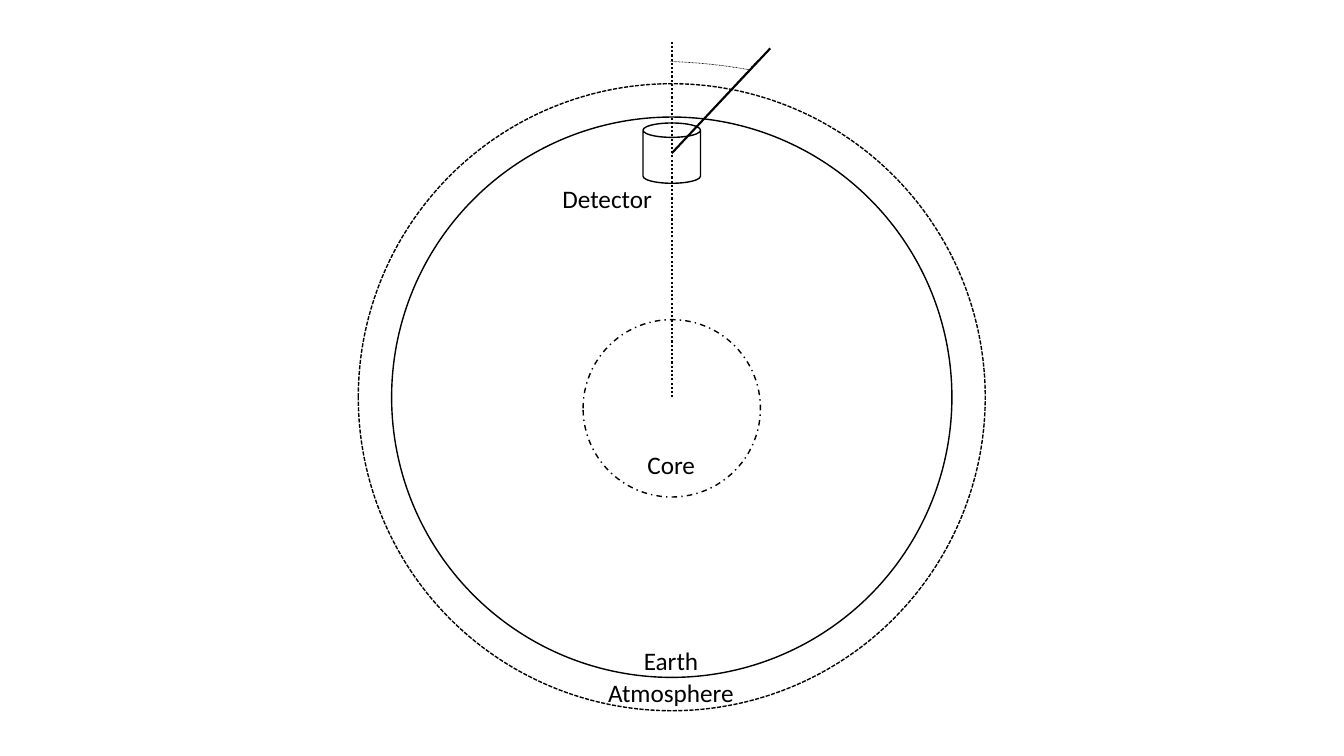
import pptx
import pptx.util
import pptx.dml.color
import pptx.enum.dml
import pptx.enum.shapes
import pptx.enum.text
import pptx.oxml

Cm, Pt = pptx.util.Cm, pptx.util.Pt
KIND = pptx.enum.shapes.MSO_SHAPE
DASH = pptx.enum.dml.MSO_LINE
BLACK = pptx.dml.color.RGBColor(0, 0, 0)
WIDE, HIGH = 33.87, 19.05
MID = 16.93      # axis through the Earth
HUB = 10.01      # centre of the Earth
HIT = 3.86       # centre of the detector

# Shapes: kind, centre x, centre y, width, height, weight, dash
SHAPES = [
    (KIND.OVAL, MID, HUB, 15.8, 15.8, 1, DASH.SQUARE_DOT),       # atmosphere
    (KIND.OVAL, MID, HUB, 14.12, 14.12, 1, None),                # Earth
    (KIND.OVAL, MID, 10.29, 4.47, 4.47, 1, DASH.DASH_DOT),       # core
    (KIND.CAN, MID, HIT, 1.45, 1.52, 1, None),                   # detector
]
# Zenith angle: the arc between the axis and the track
ANGLE = (KIND.ARC, 16.45, 3.78, 11.35, 4.47, 0.5, DASH.ROUND_DOT)
SWEEP = (168.91, 192.6)

# Lines: start x, start y, end x, end y, weight, dash
AXIS = (MID, HUB, MID, 1.04, 1.5, DASH.ROUND_DOT)
TRACKS = [
    (19.1, 1.52, MID, HIT, 0.75, DASH.ROUND_DOT),
    (19.41, 1.22, MID, HIT, 1.5, None),
]

# Labels: text, centre x, top, width
LABELS = [
    ("Detector", 15.32, 4.5, 2.79),
    ("Earth", MID, 16.13, 1.91),
    ("Atmosphere", MID, 16.94, 3.71),
    ("Core", MID, 11.2, 1.73),
]

deck = pptx.Presentation()
deck.slide_width, deck.slide_height = Cm(WIDE), Cm(HIGH)
slide = deck.slides.add_slide(deck.slide_layouts[6])


def stroke(line, weight, dash):
    line.color.rgb = BLACK
    line.width = Pt(weight)
    if dash is not None:
        line.dash_style = dash


def draw(kind, x, y, wide, high, weight, dash):
    shape = slide.shapes.add_shape(
        kind, Cm(x - wide / 2), Cm(y - high / 2), Cm(wide), Cm(high))
    shape.shadow.inherit = False
    shape.fill.background()
    stroke(shape.line, weight, dash)
    return shape


def link(x1, y1, x2, y2, weight, dash):
    line = slide.shapes.add_connector(
        pptx.enum.shapes.MSO_CONNECTOR.STRAIGHT,
        Cm(x1), Cm(y1), Cm(x2), Cm(y2))
    stroke(line.line, weight, dash)
    props = line._element.spPr
    props.append(pptx.oxml.parse_xml(
        '<a:effectLst xmlns:a='
        '"http://schemas.openxmlformats.org/drawingml/2006/main"/>'))


def write(text, x, top, wide, high=1.02, size=18, font="Calibri", color=BLACK):
    box = slide.shapes.add_textbox(
        Cm(x - wide / 2), Cm(top), Cm(wide), Cm(high))
    frame = box.text_frame
    frame.word_wrap = False
    frame.auto_size = pptx.enum.text.MSO_AUTO_SIZE.SHAPE_TO_FIT_TEXT
    run = frame.paragraphs[0].add_run()
    run.text = text
    run.font.size = Pt(size)
    run.font.name = font
    run.font.color.rgb = color


# Earth, its layers and the detector
for item in SHAPES:
    draw(*item)
link(*AXIS)

# Names
for label in LABELS:
    write(*label)

# Particle track and its angle
for track in TRACKS:
    link(*track)
arc = draw(*ANGLE)
arc.adjustments[0], arc.adjustments[1] = SWEEP

deck.save("out.pptx")
